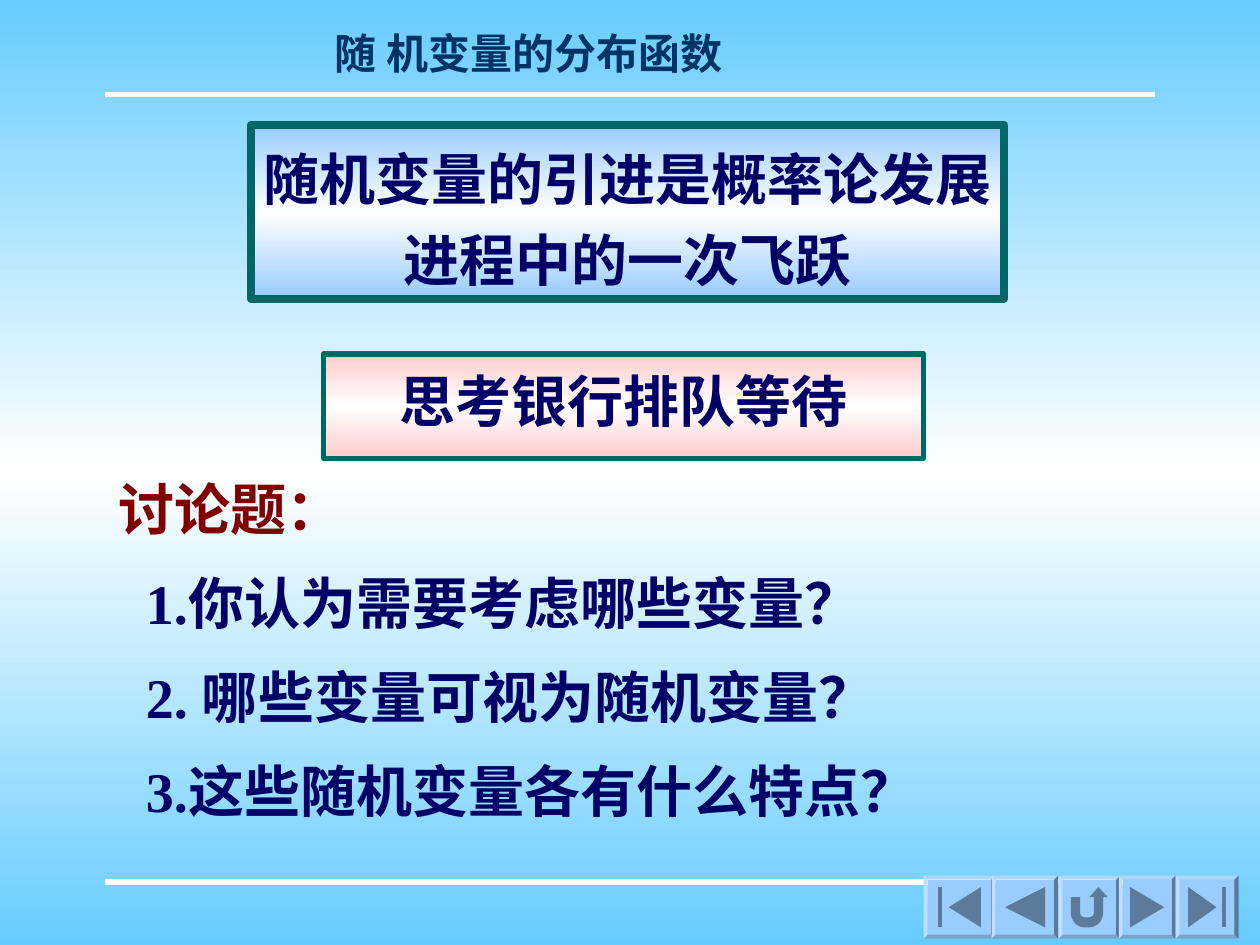
from copy import deepcopy
from math import cos, radians, sin

from lxml import etree
from pptx import Presentation
from pptx import util as u
from pptx.dml.color import RGBColor
from pptx.enum import shapes, text
from pptx.oxml.ns import qn

WIDE, HIGH = 10, 7.5
NAVY, TEAL, SKY, WHITE = "000066", "006666", "99CCFF", "FFFFFF"
HAN, ROMAN = "Noto Sans CJK SC", "Times New Roman"
LEFT, MID = text.PP_ALIGN.LEFT, text.PP_ALIGN.CENTER


def rgb(code):
    return RGBColor.from_string(code)


def inch(*nums):
    return [u.Inches(n) for n in nums]


def blend(fill, root, edge):
    """Vertical gradient from edge colour to white and back."""
    fill.gradient()
    fill.gradient_angle = 90
    stops = root.xpath(".//a:gsLst")[0]
    stops.append(deepcopy(stops[-1]))
    for stop, spot, code in zip(fill.gradient_stops, (0, 0.5, 1), (edge, WHITE, edge)):
        stop.position = spot
        stop.color.rgb = rgb(code)


def write(shape, lines, align=LEFT, space=1.0, wrap=True, color=NAVY, size=32, name=ROMAN):
    frame = shape.text_frame
    frame.word_wrap = wrap
    frame.vertical_anchor = text.MSO_ANCHOR.TOP
    frame.text = "\n".join(lines)
    for para in frame.paragraphs:
        para.alignment, para.line_spacing = align, space
        for run in para.runs:
            look = {"size": u.Pt(size), "bold": True, "name": name}
            for key, value in look.items():
                setattr(run.font, key, value)
            run.font.color.rgb = rgb(color)
            east = etree.SubElement(run.font._element, qn("a:ea"))
            east.set("typeface", HAN)


def label(slide, box, lines, **style):
    write(slide.shapes.add_textbox(*inch(*box)), lines, **style)


def rule(slide, y):
    """White line between equal side margins."""
    edge = WIDE / 12
    line = slide.shapes.add_connector(
        shapes.MSO_CONNECTOR.STRAIGHT, *inch(edge, y, WIDE - edge, y))
    line.line.color.rgb = rgb(WHITE)
    line.line.width = u.Pt(3)
    etree.SubElement(line._element.spPr, qn("a:effectLst"))


def panel(slide, box, lines, edge, width, **style):
    shape = slide.shapes.add_shape(shapes.MSO_SHAPE.RECTANGLE, *inch(*box))
    shape.shadow.inherit = False
    blend(shape.fill, shape._element, edge)
    shape.line.color.rgb = rgb(TEAL)
    shape.line.width = u.Pt(width)
    write(shape, lines, align=MID, name=HAN, **style)


def topics(slide, box, head, items):
    """Heading, then one question per equal row."""
    x, y, w, h = box
    top = 0.64
    row = (h - top) / len(items)
    label(slide, (x, y, 1.98, top), [head], wrap=False, color="800000")
    for i, item in enumerate(items):
        label(slide, (x + 0.22, y + top + i * row, w - 0.22, row), [item], space=1.2)


def arc(x, r, start, end):
    turns = [radians(start + (end - start) * i / 8) for i in range(9)]
    return [(x + r * cos(a), 0.625 + r * sin(a)) for a in turns]


def flip(icon):
    return [[(1 - x, y) for x, y in part] for part in icon]


# Button icons, as shares of the icon box
BACK = [[(0, 0.5), (1, 0), (1, 1)]]
FIRST = [[(0.25, 0.5), (1, 0), (1, 1)], [(0, 0), (0.1, 0), (0.1, 1), (0, 1)]]
TURN = [[(0, 0.25), (0.25, 0.25), *arc(0.375, 0.125, 180, 90), *arc(0.5, 0.125, 90, 0),
         (0.625, 0.25), (0.5, 0.25), (0.75, 0), (1, 0.25), (0.875, 0.25),
         *arc(0.5, 0.375, 0, 90), *arc(0.375, 0.375, 90, 180)]]


def button(slide, box, icon):
    x, y, w, h = box
    base = slide.shapes.add_shape(shapes.MSO_SHAPE.BEVEL, *inch(*box))
    base.adjustments[0] = 0.065
    parts = [(base, SKY)]
    for part in icon:
        dots = [(round((x + w * (0.2 + 0.6 * a)) * 1000),
                 round((y + h * (0.18 + 0.64 * b)) * 1000)) for a, b in part]
        pen = slide.shapes.build_freeform(*dots[0], scale=u.Inches(1) / 1000)
        pen.add_line_segments(dots[1:], close=True)
        parts.append((pen.convert_to_shape(), "5C7A99"))
    for shape, code in parts:
        shape.shadow.inherit = False
        shape.fill.solid()
        shape.fill.fore_color.rgb = rgb(code)
        shape.line.fill.background()


def toolbar(slide, box):
    x, y, w, h = box
    starts = (0, 0.216, 0.428, 0.62, 0.8)
    spans = (0.228, 0.212, 0.196, 0.18, 0.2)
    icons = (FIRST, BACK, TURN, flip(BACK), flip(FIRST))
    for start, span, icon in zip(starts, spans, icons):
        button(slide, (x + w * start, y, w * span, h), icon)


def main():
    deck = Presentation()
    deck.slide_width, deck.slide_height = inch(WIDE, HIGH)
    slide = deck.slides.add_slide(deck.slide_layouts[6])
    blend(slide.background.fill, slide.element, "66CCFF")

    # Frame lines and running title
    rule(slide, HIGH * 0.1)
    rule(slide, 7)
    label(slide, (2, 0.17, 4.39, 0.5), ["随 机变量的分布函数"],
          align=MID, size=24, color="003366")

    # Statement and prompt
    panel(slide, (1.99, 0.99, 5.98, 1.38), ["随机变量的引进是概率论发展", "进程中的一次飞跃"],
          SKY, 4.5, space=1.2, wrap=False)
    panel(slide, (2.57, 2.81, 4.76, 0.83), ["思考银行排队等待"], "FFCCCC", 3, space=1.1)

    # Questions for discussion
    topics(slide, (0.84, 3.72, 7.94, 2.87), "讨论题：",
           ["1.你认为需要考虑哪些变量？", "2. 哪些变量可视为随机变量？", "3.这些随机变量各有什么特点？"])

    # Navigation buttons
    toolbar(slide, (7.33, 6.95, 2.5, 0.5))
    deck.save("out.pptx")


if __name__ == "__main__":
    main()
